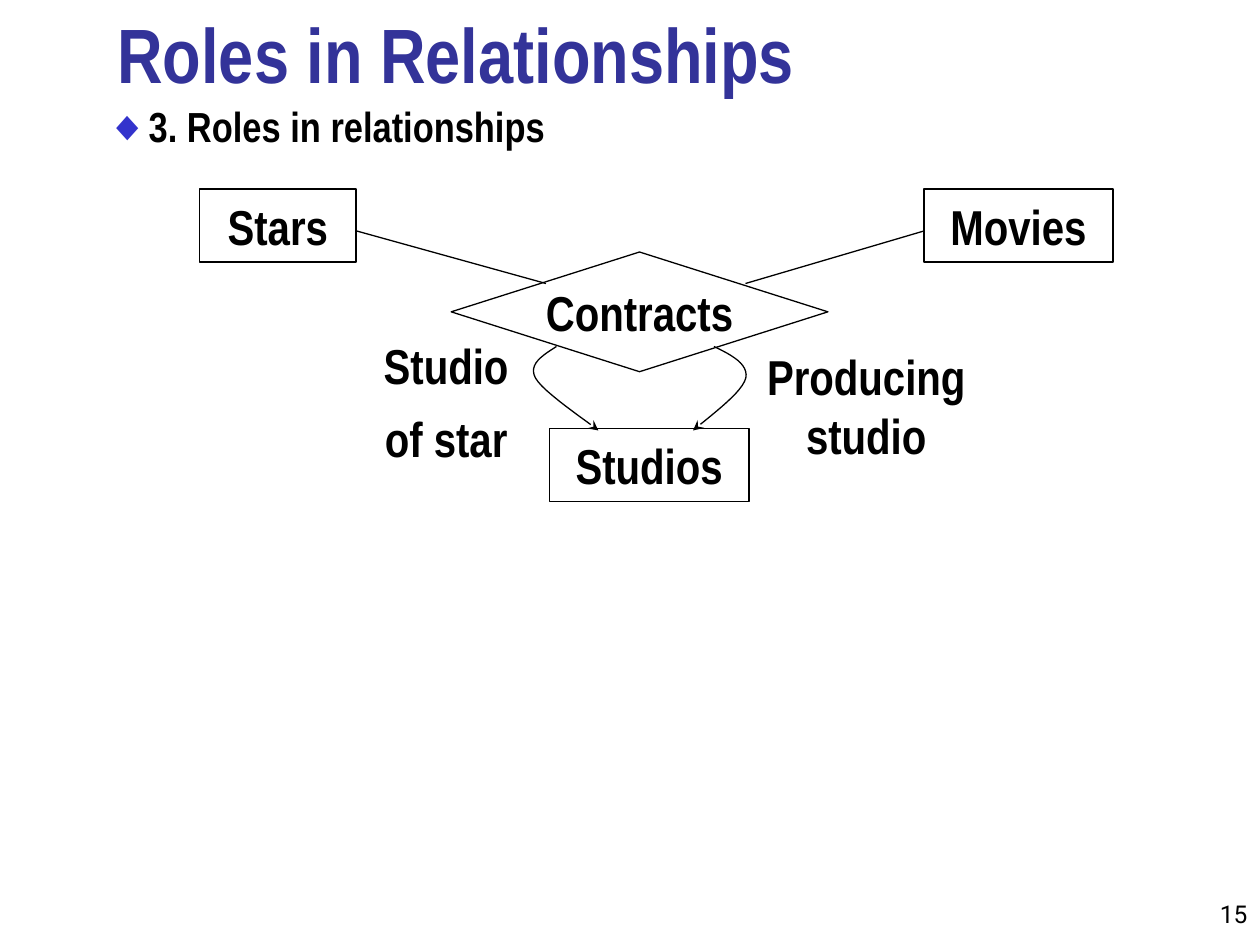
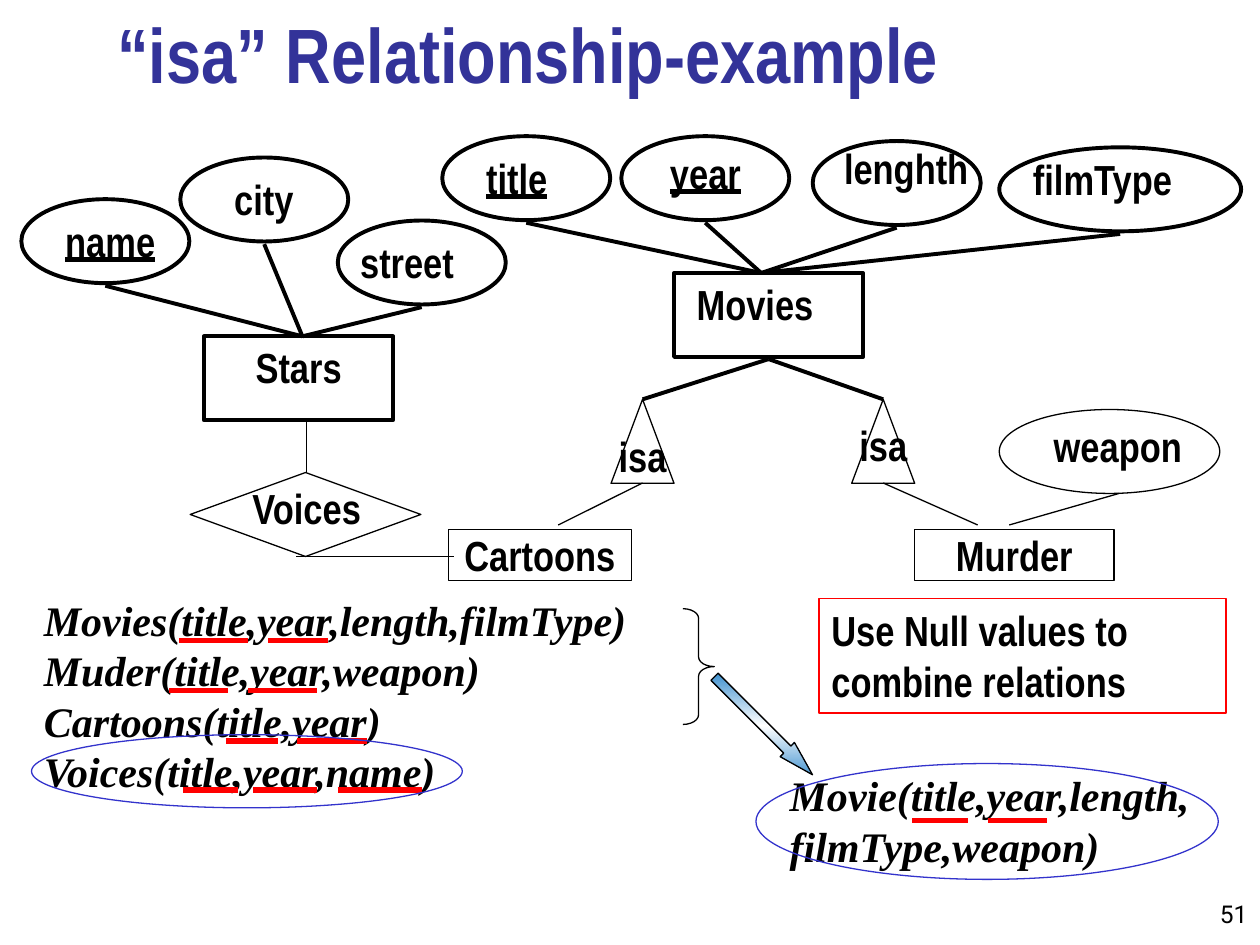
import copy
import dataclasses

import pptx
import pptx.dml.color
import pptx.enum.dml
import pptx.enum.shapes
import pptx.enum.text
import pptx.oxml.ns
import pptx.oxml.xmlchemy
import pptx.util

Pt = pptx.util.Pt
SHAPES = pptx.enum.shapes.MSO_SHAPE
ALIGN = pptx.enum.text.PP_ALIGN
ANCHOR = pptx.enum.text.MSO_ANCHOR
FIT = pptx.enum.text.MSO_AUTO_SIZE


@dataclasses.dataclass(frozen=True)
class Theme:
    """Colours, fonts, type sizes and line weights of the deck."""

    ink: str = "000000"
    title: str = "333399"
    accent: str = "3333CC"
    alert: str = "FF0000"
    arrow: str = "338ACC"
    paper: str = "FFFFFF"
    sans: str = "Arial Narrow"
    serif: str = "Times New Roman"
    number: str = "Roboto"
    title_size: int = 44
    large: int = 28
    body: int = 24
    number_size: int = 14
    thin: float = 0.75
    thick: float = 2.25
    mark: float = 3


THEME = Theme()


def rgb(value):
    """Turn a hex string into a colour."""
    return pptx.dml.color.RGBColor.from_string(value)


def apply(target, values):
    """Set every attribute of target named in values."""
    for name, value in values.items():
        setattr(target, name, value)


def write(item, paragraphs, size=THEME.body, font=THEME.sans, color=THEME.ink, bold=True,
          italic=False, underline=False, frame=None, layout=None, inset=True):
    """Write paragraphs, each a string or a list of (text, colour), into an item."""
    text_frame = item.text_frame
    apply(text_frame, {"word_wrap": True, "auto_size": FIT.SHAPE_TO_FIT_TEXT,
                       "vertical_anchor": ANCHOR.TOP, **(frame or {})})
    if not inset:
        apply(text_frame, dict.fromkeys(
            ("margin_left", "margin_top", "margin_right", "margin_bottom"), 0))
    for index, content in enumerate(paragraphs):
        para = text_frame.add_paragraph() if index else text_frame.paragraphs[0]
        apply(para, {"alignment": ALIGN.LEFT, **(layout or {})})
        for text, tint in [(content, color)] if isinstance(content, str) else content:
            span = para.add_run()
            span.text = text
            apply(span.font, {"size": Pt(size), "name": font, "bold": bold,
                              "italic": italic, "underline": underline})
            span.font.color.rgb = rgb(tint)


def label(page, place, *paragraphs, **formats):
    """Add a text box."""
    box = page.shapes.add_textbox(*map(Pt, place))
    write(box, paragraphs, **formats)


def centred(page, place, *paragraphs, layout=None, **formats):
    """Add a centred text box without insets."""
    label(page, place, *paragraphs, inset=False,
          layout={"alignment": ALIGN.CENTER, **(layout or {})}, **formats)


def stroke(item, color, weight):
    """Give an item a solid line."""
    item.line.color.rgb = rgb(color)
    item.line.width = Pt(weight)


def outline(page, kind, place, weight=THEME.thin, color=THEME.ink):
    """Add an unfilled preset shape."""
    shape = page.shapes.add_shape(kind, *map(Pt, place))
    shape.shadow.inherit = False
    shape.fill.background()
    stroke(shape, color, weight)
    return shape


def node(page, kind, place, text, size=THEME.body, inset=False):
    """Add an outlined shape with a centred name."""
    write(outline(page, kind, place), [text], size=size, inset=inset,
          frame={"vertical_anchor": ANCHOR.MIDDLE}, layout={"alignment": ALIGN.CENTER})


def link(page, start, end, weight=THEME.thin, color=THEME.ink):
    """Add a straight line between two points."""
    line = page.shapes.add_connector(
        pptx.enum.shapes.MSO_CONNECTOR.STRAIGHT, *map(Pt, (*start, *end)))
    stroke(line, color, weight)
    pptx.oxml.xmlchemy.OxmlElement("a:effectLst")
    line._element.spPr.append(pptx.oxml.xmlchemy.OxmlElement("a:effectLst"))


def bezier(start, first, second, end, steps=12):
    """List the points of a cubic curve after its start."""
    points = []
    for step in range(1, steps + 1):
        t = step / steps
        weights = ((1 - t) ** 3, 3 * t * (1 - t) ** 2, 3 * t * t * (1 - t), t ** 3)
        points.append(tuple(
            sum(w * p[axis] for w, p in zip(weights, (start, first, second, end)))
            for axis in (0, 1)))
    return points


def curved_arrow(page, start, *pieces):
    """Add a curve of cubic pieces that ends in an arrowhead."""
    builder = page.shapes.build_freeform(*map(Pt, start))
    points, current = [], start
    for piece in pieces:
        points += bezier(current, *piece)
        current = piece[-1]
    builder.add_line_segments([(Pt(x), Pt(y)) for x, y in points], close=False)
    curve = builder.convert_to_shape()
    curve.shadow.inherit = False
    curve.fill.background()
    stroke(curve, THEME.ink, THEME.thin)
    head = pptx.oxml.xmlchemy.OxmlElement("a:tailEnd")
    head.set("type", "stealth")
    curve.line._get_or_add_ln().append(head)


def gradient_arrow(page, place):
    """Add a block arrow turned to 45 degrees with a three-stop gradient."""
    arrow = outline(page, SHAPES.RIGHT_ARROW, place)
    arrow.adjustments[1] = 1.764
    arrow.rotation = 45
    arrow.fill.gradient()
    arrow.fill.gradient_angle = 90
    gradient = arrow._element.spPr.find(pptx.oxml.ns.qn("a:gradFill"))
    gradient.set("rotWithShape", "0")
    stops = gradient.find(pptx.oxml.ns.qn("a:gsLst"))
    stops.insert(1, copy.deepcopy(stops[0]))
    colors = (THEME.arrow, THEME.paper, THEME.arrow)
    for index, (stop, color) in enumerate(zip(arrow.fill.gradient_stops, colors)):
        stop.position = index / 2
        stop.color.rgb = rgb(color)


def attribute(page, hub, word, oval, spot, key=False, wrap=False):
    """Add an attribute oval, its name and the line to its entity."""
    left, top, width, height = oval
    outline(page, SHAPES.OVAL, oval, THEME.thick)
    label(page, spot, word, underline=key, frame={"word_wrap": wrap})
    link(page, hub, (left + width / 2, top + height + 1.5), THEME.thick)


def entity(page, place, word, spot):
    """Add a heavy entity box with its name."""
    outline(page, SHAPES.RECTANGLE, place, THEME.thick)
    label(page, spot, word, frame={"word_wrap": False})


def new_page(deck, title, number):
    """Add a blank page with its title and page number."""
    page = deck.slides.add_slide(deck.slide_layouts[6])
    frame = {"vertical_anchor": ANCHOR.BOTTOM, "auto_size": FIT.NONE}
    label(page, (672, 498, 48, 36), number, size=THEME.number_size, font=THEME.number,
          bold=False, frame=frame, layout={"alignment": ALIGN.RIGHT})
    label(page, (60, 6, 613.4, 54), title, size=THEME.title_size, color=THEME.title,
          frame=frame)
    return page


def roles_page(deck):
    """Build the page on roles."""
    page = new_page(deck, "Roles in Relationships", "15")
    for kind, place, word, inset in (
        (SHAPES.RECTANGLE, (114, 108, 89.5, 41.8), "Stars", True),
        (SHAPES.RECTANGLE, (528, 108, 108, 41.8), "Movies", True),
        (SHAPES.RECTANGLE, (314, 244.8, 114, 41.8), "Studios", True),
        (SHAPES.DIAMOND, (257.8, 144, 215.3, 68.4), "Contracts", False),
    ):
        node(page, kind, place, word, THEME.large, inset)
    link(page, (203.8, 132), (312, 162))
    link(page, (426, 162), (528, 132))
    curved_arrow(page, (318, 198),
                 ((310.3, 203), (301.7, 208), (306, 216)),
                 ((310.3, 224), (336.2, 241.2), (342, 246)))
    curved_arrow(page, (408, 198),
                 ((418.3, 203), (427.7, 208), (426.2, 216)),
                 ((424, 224), (409.7, 234.7), (396, 246)))
    centred(page, (216, 198, 77.8, 70.6), "Studio", "of star", size=THEME.large,
            layout={"line_spacing": 0.8, "space_before": Pt(15)})
    centred(page, (432, 198, 126, 67), "Producing studio", size=THEME.large)
    label(page, (54, 54, 635, 36),
          [("◆", THEME.accent), ("3. Roles in relationships", THEME.ink)])


def isa_page(deck):
    """Build the page on the isa example."""
    page = new_page(deck, "“isa” Relationship-example", "51")
    schema = {"font": THEME.serif, "italic": True}
    label(page, (18, 336.2, 408.2, 122.4), "Movies(title,year,length,filmType)",
          "Muder(title,year,weapon)", "Cartoons(title,year)", "Voices(title,year,name)",
          **schema)
    label(page, (444.2, 436.3, 264.2, 64.8), "Movie(title,year,length,", "filmType,weapon)",
          **schema)

    entity(page, (385.2, 156, 108, 48), "Movies", (391, 155.5, 81.4, 36))
    entity(page, (116.6, 192.2, 108, 48), "Stars", (139, 191.5, 64, 36))
    movies_top, stars_top = (435, 156), (172.8, 192.2)
    for hub, word, oval, spot, key in (
        (movies_top, "title", (252.7, 77.8, 96, 48), (270.7, 83.5, 49.7, 36), True),
        (movies_top, "year", (355, 77.8, 96, 48), (375.8, 80.6, 55.4, 36), True),
        (movies_top, "lenghth", (464.4, 80.6, 96, 48), (475.2, 77.8, 85.7, 36), False),
        (stars_top, "name", (12.2, 113.8, 96, 48), (30.2, 119.5, 66.2, 36), True),
        (stars_top, "city", (103, 90, 96, 48), (126.7, 95.8, 48.2, 36), False),
        (stars_top, "street", (193, 126, 96, 48), (198.7, 131.8, 68.4, 36), False),
    ):
        attribute(page, hub, word, oval, spot, key)
    attribute(page, movies_top, "filmType", (571, 84.2, 138.2, 48), (583.2, 84.2, 108, 36),
              wrap=True)

    for left, text_top in ((349.2, 246.2), (486.7, 239.8)):
        link(page, (439.2, 205.2), (left + 18, 228.2), THEME.thick)
        outline(page, SHAPES.ISOSCELES_TRIANGLE, (left, 228.2, 36, 48))
        centred(page, (left, text_top, 36, 28.8), "isa")
    node(page, SHAPES.RECTANGLE, (256.3, 302.4, 104.4, 29.5), "Cartoons")
    node(page, SHAPES.RECTANGLE, (522.7, 302.4, 113.8, 29.5), "Murder")
    outline(page, SHAPES.DIAMOND, (108.7, 270, 131.8, 48))
    centred(page, (133.2, 275.8, 84.2, 28.8), "Voices")
    outline(page, SHAPES.OVAL, (571, 234, 126, 48))
    centred(page, (589, 240.5, 99.4, 28.8), "weapon")
    for start, end in (
        ((367.2, 276), (319, 300)), ((504.7, 276), (558.7, 300)),
        ((576.7, 300), (639.4, 282)), ((175, 270), (175, 240)),
        ((259.2, 318), (169.2, 318)),
    ):
        link(page, start, end)

    note = outline(page, SHAPES.RECTANGLE, (468, 342, 232.6, 65.5), color=THEME.alert)
    write(note, ["Use Null values to combine relations"])
    gradient_arrow(page, (396.7, 409, 79.2, 11.5))
    brace = outline(page, SHAPES.RIGHT_BRACE, (390.2, 347.8, 18, 66.2))
    brace.adjustments[0] = 0.306
    key_marks = {
        366: ((102.2, 141.8), (153.4, 187.2)),
        394.6: ((96.5, 130.3), (141.8, 181.4)),
        423.4: ((129, 159), (170, 209.5)),
        451.4: ((104.4, 136), (144.7, 181.4), (193, 241.2)),
        468.7: ((521.3, 553), (564.5, 598.3)),
    }
    for height, marks in key_marks.items():
        for left, right in marks:
            link(page, (left, height), (right, height), THEME.mark, THEME.alert)
    for place in ((432, 436.3, 264.2, 66.2), (18, 419.8, 246.2, 41.8)):
        outline(page, SHAPES.OVAL, place, color=THEME.accent)


def main():
    """Build and save the deck."""
    deck = pptx.Presentation()
    deck.slide_width, deck.slide_height = Pt(720), Pt(540)
    roles_page(deck)
    isa_page(deck)
    deck.save("out.pptx")


if __name__ == "__main__":
    main()
